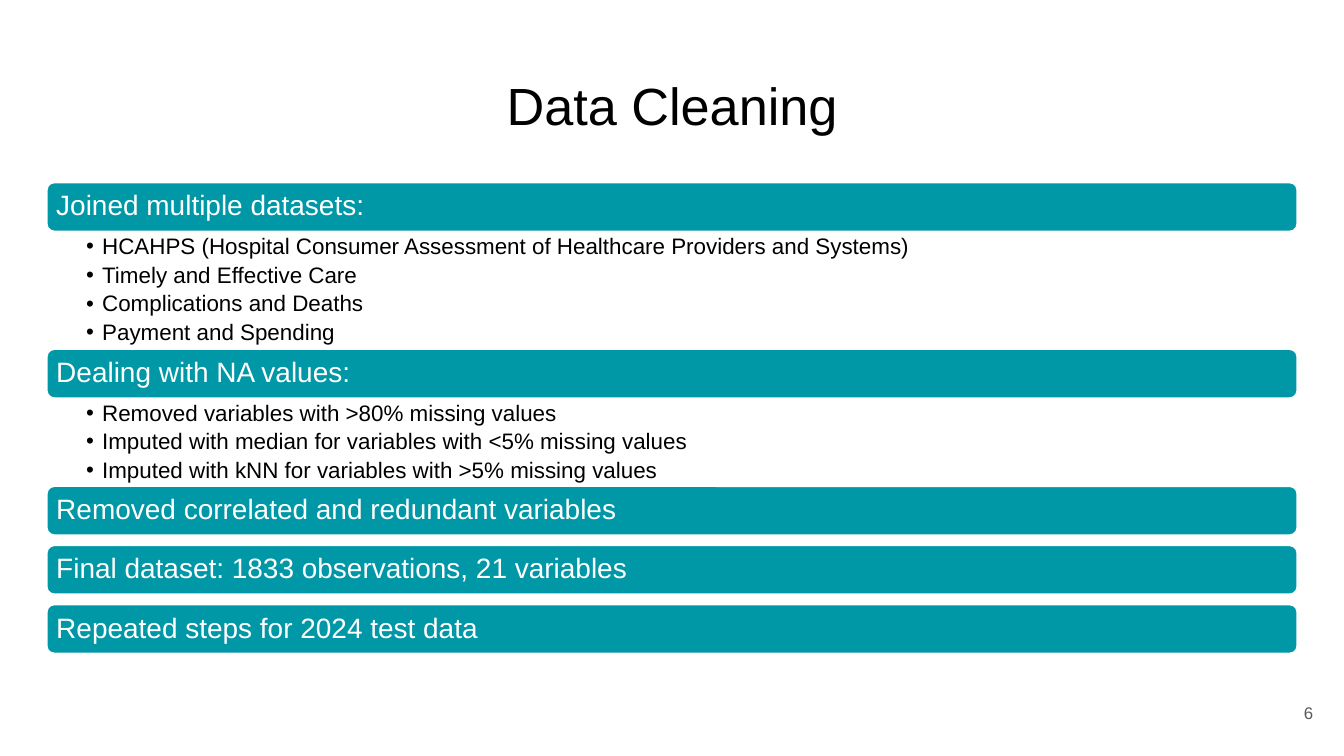
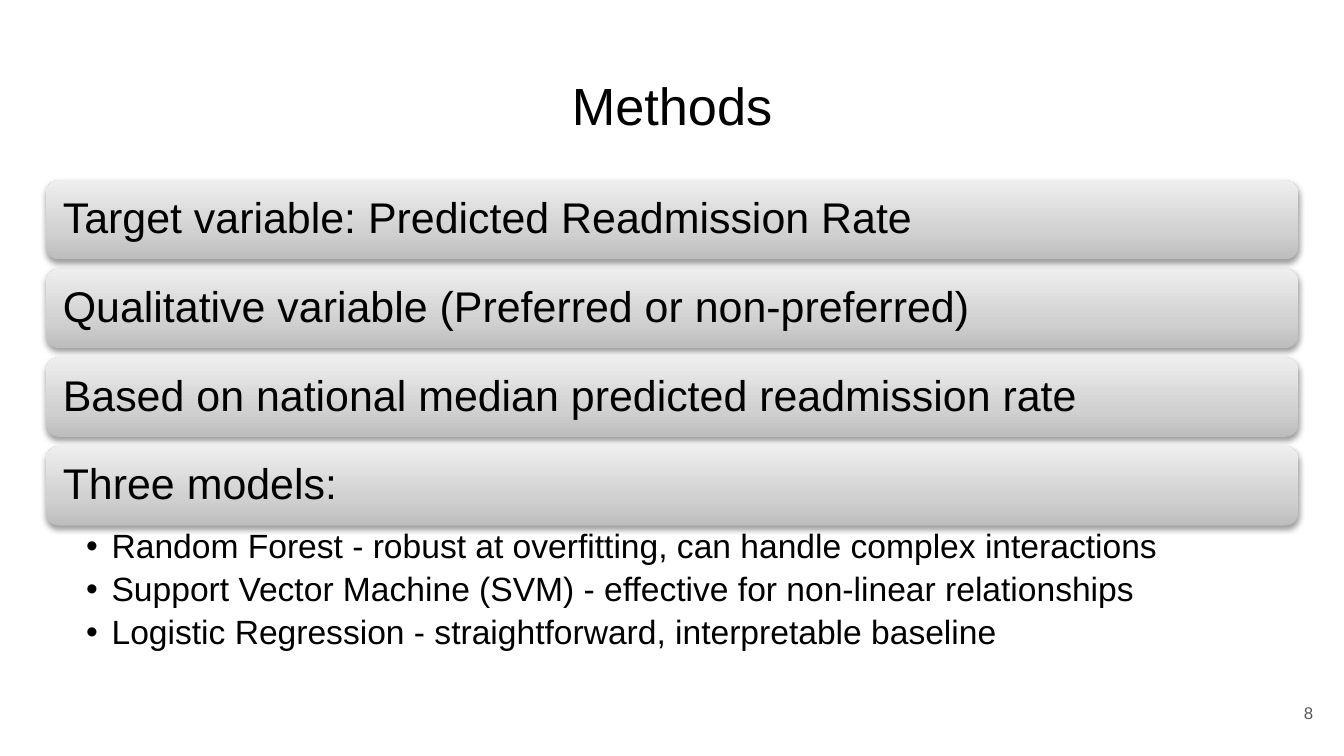
from lxml import etree
from pptx import Presentation
from pptx.dml.color import RGBColor
from pptx.enum import shapes, text
from pptx.oxml import ns
from pptx.util import Emu, Inches, Pt

FONT = "Arial"
BLACK, WHITE, TEAL, GRAY = "000000", "FFFFFF", "0097A7", "595959"
GRADIENT = [(0, "BDBDBD"), (35, "D1D1D1"), (100, "EEEEEE")]
LEFT, WIDTH = 0.34, 9.32
TITLE_BOX = (LEFT, 0.49, WIDTH, 0.63)
NUMBER_BOX = (9.27, 5.1, 0.6, 0.43)

CLEANING_STYLE = dict(
    top=1.35, bar=0.38, gap=0.06, size=15, color=WHITE, inset=0.06,
    bullet_size=12, indent=0.12, bullet_insets=(0.3, 0.02, 0.12, 0.02),
)
METHODS_STYLE = dict(
    top=1.34, bar=0.59, gap=0.07, size=23, color=BLACK, inset=0.1,
    bullet_size=18, indent=0.19, bullet_insets=(0.3, 0.03, 0.18, 0.03),
)

CLEANING_STEPS = [
    ("Joined multiple datasets:", 0.86, [
        "HCAHPS (Hospital Consumer Assessment of Healthcare Providers and Systems)",
        "Timely and Effective Care",
        "Complications and Deaths",
        "Payment and Spending",
    ]),
    ("Dealing with NA values:", 0.64, [
        "Removed variables with >80% missing values",
        "Imputed with median for variables with <5% missing values",
        "Imputed with kNN for variables with >5% missing values",
    ]),
    ("Removed correlated and redundant variables", 0, []),
    ("Final dataset: 1833 observations, 21 variables", 0, []),
    ("Repeated steps for 2024 test data", 0, []),
]
METHODS_STEPS = [
    ("Target variable: Predicted Readmission Rate", 0, []),
    ("Qualitative variable (Preferred or non-preferred)", 0, []),
    ("Based on national median predicted readmission rate", 0, []),
    ("Three models:", 0.96, [
        "Random Forest - robust at overfitting, can handle complex interactions",
        "Support Vector Machine (SVM) - effective for non-linear relationships",
        "Logistic Regression - straightforward, interpretable baseline",
    ]),
]


def rgb(color):
    return RGBColor.from_string(color)


def add_element(parent, tag, **attributes):
    values = {name: str(value) for name, value in attributes.items()}
    return etree.SubElement(parent, ns.qn(tag), values)


def set_frame(shape, insets, anchor=text.MSO_ANCHOR.MIDDLE):
    frame = shape.text_frame
    frame.word_wrap = True
    frame.vertical_anchor = anchor
    frame.margin_left, frame.margin_top, frame.margin_right, frame.margin_bottom = map(Inches, insets)
    return frame


def style_para(para, size, color, align=text.PP_ALIGN.LEFT):
    para.alignment = align
    para.line_spacing = 0.9
    para.font.name = FONT
    para.font.size = Pt(size)
    para.font.color.rgb = rgb(color)


def add_label(page, box, words, size, color, align):
    label = page.shapes.add_textbox(*map(Inches, box))
    para = set_frame(label, [0.1] * 4).paragraphs[0]
    para.text = words
    style_para(para, size, color, align)


def fill_teal(bar):
    bar.fill.solid()
    bar.fill.fore_color.rgb = rgb(TEAL)
    bar.line.color.rgb = rgb(WHITE)
    bar.line.width = Pt(2)


def fill_gradient(bar):
    bar.fill.gradient()
    bar.fill.gradient_angle = 90
    bar.line.fill.background()
    properties = bar.element.spPr
    stops = properties.find(".//" + ns.qn("a:gsLst"))
    for stop in list(stops):
        stops.remove(stop)
    for position, color in GRADIENT:
        stop = add_element(stops, "a:gs", pos=position * 1000)
        add_element(stop, "a:srgbClr", val=color)
    effects = properties.find(ns.qn("a:effectLst"))
    shadow = add_element(effects, "a:outerShdw", blurRad=Pt(3.1), dist=Pt(1.6),
                         dir=5400000, rotWithShape=0)
    add_element(add_element(shadow, "a:srgbClr", val=BLACK), "a:alpha", val=38000)


def add_bar(page, box, words, style, paint):
    bar = page.shapes.add_shape(shapes.MSO_SHAPE.ROUNDED_RECTANGLE, *map(Inches, box))
    bar.shadow.inherit = False
    paint(bar)
    para = set_frame(bar, [style["inset"]] * 4).paragraphs[0]
    para.text = words
    style_para(para, style["size"], style["color"])


def add_bullets(page, box, items, style):
    bullets = page.shapes.add_textbox(*map(Inches, box))
    frame = set_frame(bullets, style["bullet_insets"], text.MSO_ANCHOR.TOP)
    indent = Emu(Inches(style["indent"]))
    for index, item in enumerate(items):
        para = frame.paragraphs[0] if index == 0 else frame.add_paragraph()
        para.text = item
        para.level = 1
        properties = para._p.get_or_add_pPr()
        properties.set("marL", str(indent))
        properties.set("indent", str(-indent))
        add_element(add_element(properties, "a:buClr"), "a:srgbClr", val=BLACK)
        add_element(properties, "a:buFont", typeface=FONT)
        add_element(properties, "a:buChar", char="•")
        para.space_after = Pt(style["bullet_size"] * 0.2)
        style_para(para, style["bullet_size"], BLACK)


def add_steps(page, steps, style, paint):
    top = style["top"]
    for heading, bullet_height, items in steps:
        add_bar(page, (LEFT, top, WIDTH, style["bar"]), heading, style, paint)
        top += style["bar"]
        if items:
            add_bullets(page, (LEFT, top, WIDTH, bullet_height), items, style)
        top += bullet_height or style["gap"]


def add_page(deck, title, number, steps, style, paint):
    page = deck.slides.add_slide(deck.slide_layouts[6])
    add_label(page, TITLE_BOX, title, 28, BLACK, text.PP_ALIGN.CENTER)
    add_label(page, NUMBER_BOX, number, 9, GRAY, text.PP_ALIGN.RIGHT)
    add_steps(page, steps, style, paint)


def main():
    deck = Presentation()
    deck.slide_width, deck.slide_height = Inches(10), Inches(10 * 9 / 16)
    add_page(deck, "Data Cleaning", "6", CLEANING_STEPS, CLEANING_STYLE, fill_teal)
    add_page(deck, "Methods", "8", METHODS_STEPS, METHODS_STYLE, fill_gradient)
    deck.save("out.pptx")


if __name__ == "__main__":
    main()
